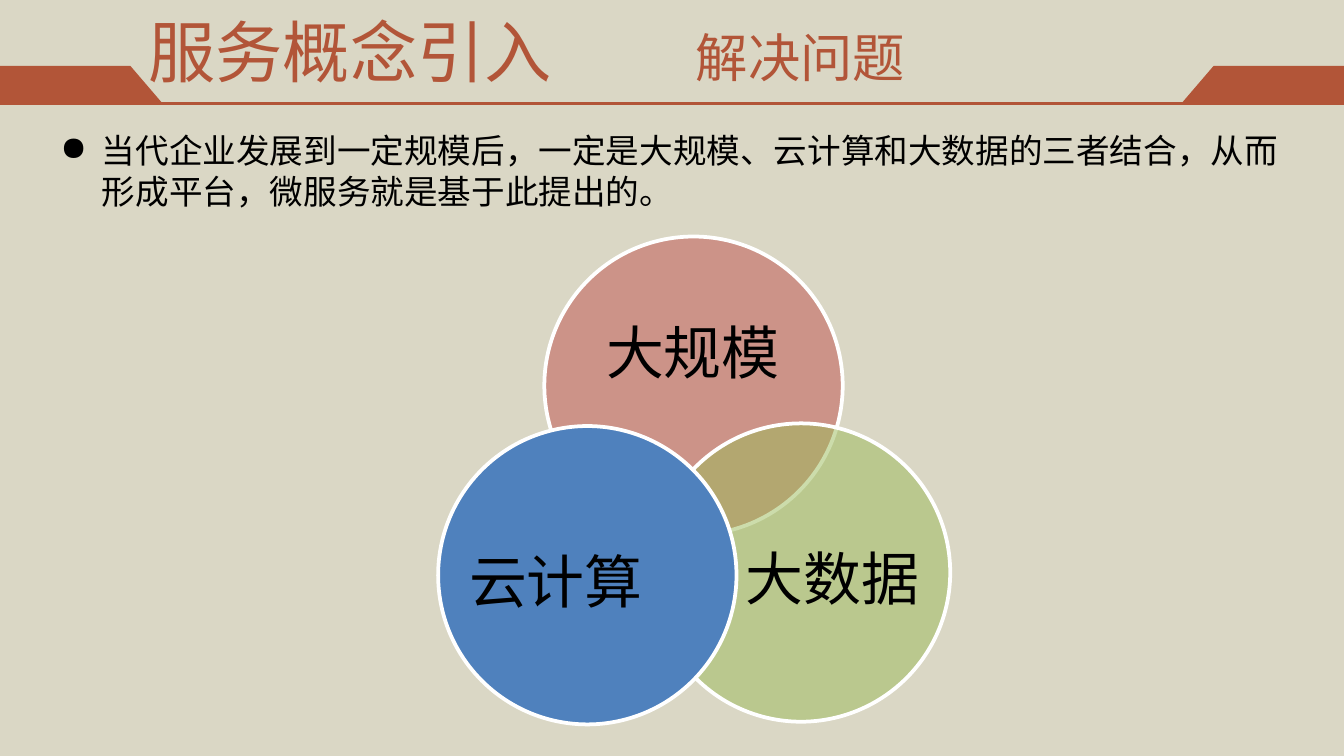
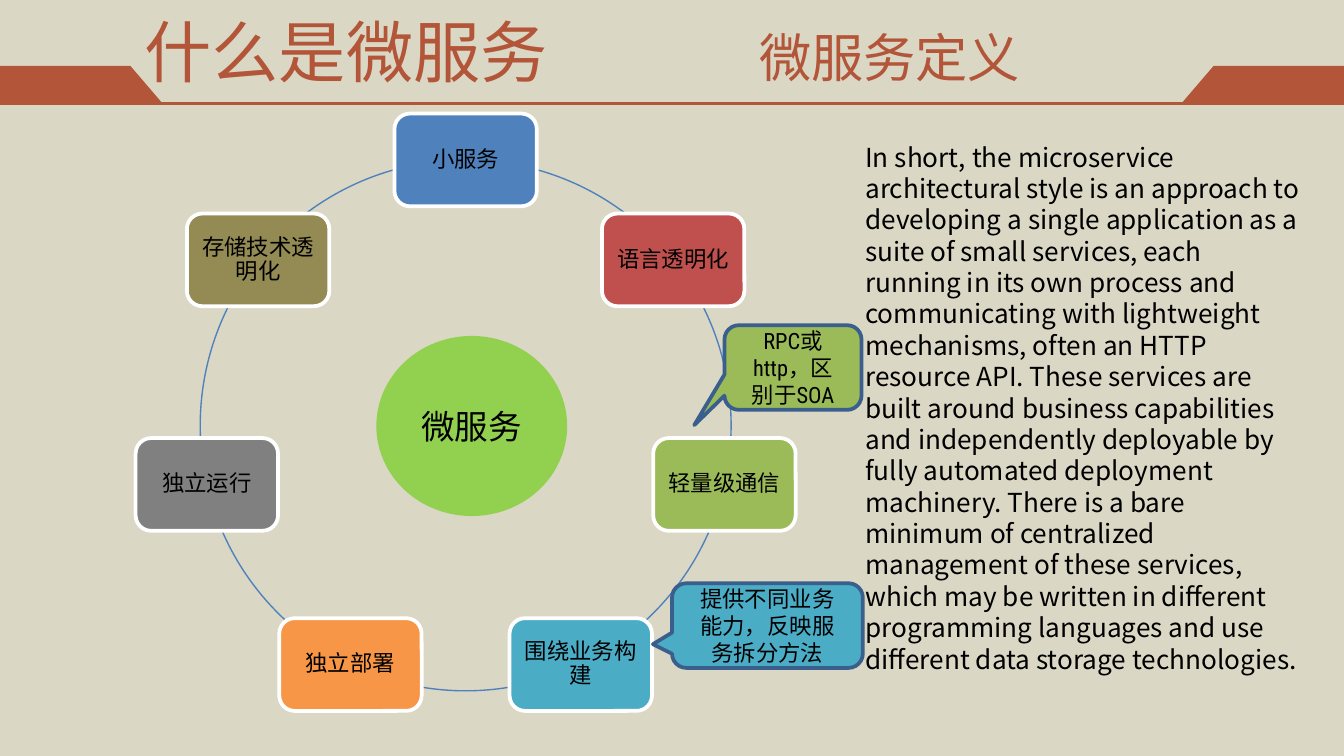
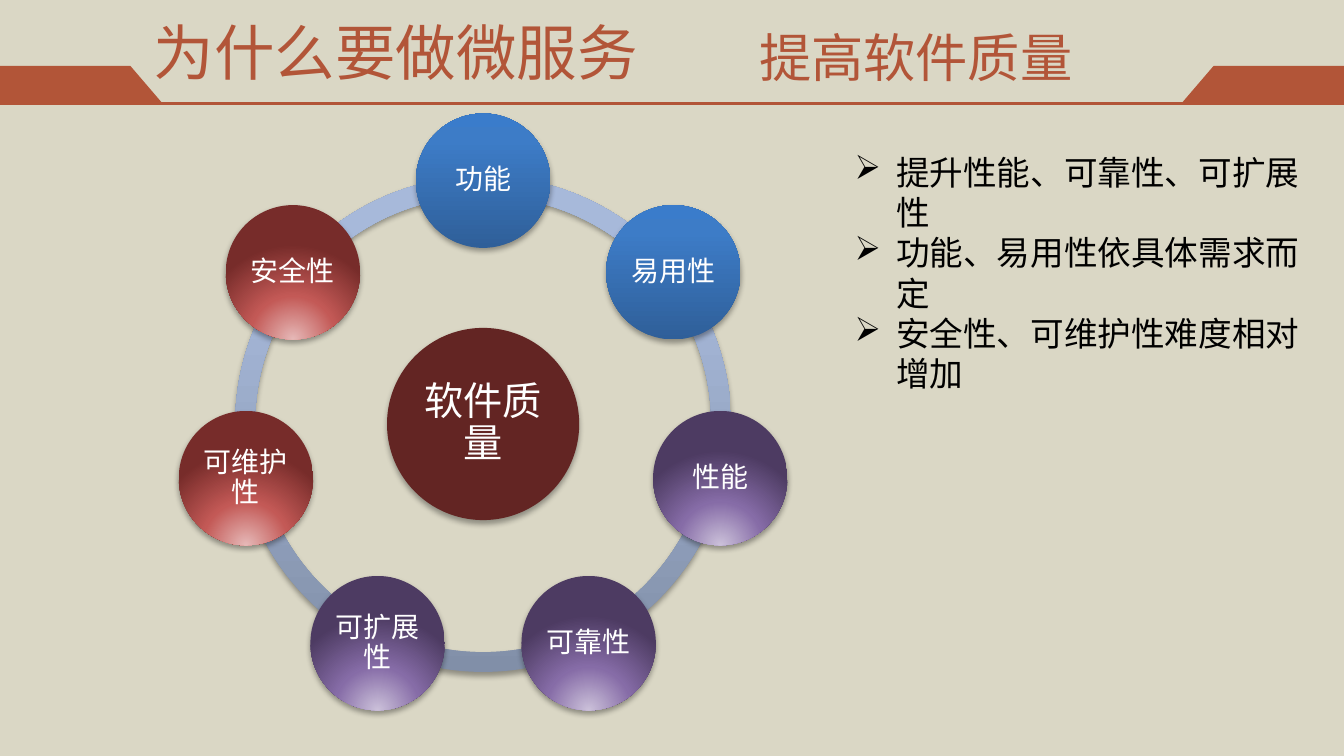
from pptx import Presentation
from pptx import util as u
from pptx.dml.color import RGBColor
from pptx.enum import lang, shapes, text
from pptx.oxml import parse_xml
from pptx.oxml.ns import nsdecls, qn

# Grid: 100 columns across, 56.25 rows down
COL = u.Inches(10) // 100
ROW = u.Inches(5.625) * 4 // 225

SHAPE = shapes.MSO_SHAPE
ALIGN = text.PP_ALIGN
FONT = "Roboto Condensed"
PLAIN_FONT = "Noto Sans CJK SC"
PAPER, RUST, BLACK, WHITE = "DAD7C5", "B25538", "000000", "FFFFFF"
BLUE, RED, GREEN, TEAL = "4F81BD", "C0504D", "9BBB59", "4BACC6"

# Gradients: (position %, colour) stops, then linear or radial
LINEAR = '<a:lin ang="16200000" scaled="0"/>'
RADIAL = ('<a:path path="circle"><a:fillToRect l="50000" t="130000" '
          'r="50000" b="-30000"/></a:path>')
RING = ([(0, "818FA8"), (80, "A7B9DA"), (100, "A7BADC")], LINEAR)
BLUE_BALL = ([(0, "2F5F99"), (80, "3D7CC7"), (100, "3A7CCB")], LINEAR)
PURPLE_BALL = ([(0, "CCC1DA"), (46, "866CA7"), (100, "4D3B62")], RADIAL)
RED_BALL = ([(0, "E6B9B8"), (46, "C35956"), (100, "772C2A")], RADIAL)

DEFINITION = (
    "In short, the microservice architectural style is an approach to "
    "developing a single application as a suite of small services, each "
    "running in its own process and communicating with lightweight "
    "mechanisms, often an HTTP resource API. These services are built around "
    "business capabilities and independently deployable by fully automated "
    "deployment machinery. There is a bare minimum of centralized management "
    "of these services, which may be written in different programming "
    "languages and use different data storage technologies.")


def rgb(color):
    return RGBColor.from_string(color)


def grid(x, y, w, h):
    return [round(n * unit) for n, unit in zip((x, y, w, h), (COL, ROW) * 2)]


def around(cx, cy, w, h):
    return cx - w / 2, cy - h / 2, w, h


def set_all(obj, values):
    for name, value in values.items():
        setattr(obj, name, value)


# Text
def write(tf, lines, size, color=BLACK, font=FONT, align=ALIGN.LEFT,
          spacing=None, bullet=None, **frame):
    if isinstance(lines, str):
        lines = [lines]
    set_all(tf, {"word_wrap": True, **frame})
    for i, line in enumerate(lines):
        p = tf.add_paragraph() if i else tf.paragraphs[0]
        set_all(p, {"alignment": align, "line_spacing": spacing})
        if bullet:
            pPr = p._p.get_or_add_pPr()
            pPr.set("marL", str(u.Inches(0.31)))
            pPr.set("indent", str(u.Inches(-0.31)))
            pPr.append(parse_xml(
                f'<a:buChar {nsdecls("a")} char="{bullet}"/>'))
        r = p.add_run()
        r.text = line
        set_all(r.font, {"name": font, "size": u.Pt(size),
                         "language_id": lang.MSO_LANGUAGE_ID.SIMPLIFIED_CHINESE})
        r.font.color.rgb = rgb(color)
        r.font._element.find(qn("a:latin")).addnext(parse_xml(
            f'<a:ea {nsdecls("a")} typeface="{font}"/>'))


def insets(inches):
    sides = ("left", "top", "right", "bottom")
    return {f"margin_{side}": u.Inches(inches) for side in sides}


def write_centred(tf, words, size, color=BLACK, **options):
    write(tf, words, size, color, align=ALIGN.CENTER,
          vertical_anchor=text.MSO_ANCHOR.MIDDLE, **options)


def add_text(slide, place, lines, size, **options):
    tf = slide.shapes.add_textbox(*grid(*place)).text_frame
    write(tf, lines, size, auto_size=text.MSO_AUTO_SIZE.SHAPE_TO_FIT_TEXT,
          **options)


# Shapes
def paint(sp, fill=None, line=None, width=2):
    sp.shadow.inherit = False
    if fill:
        sp.fill.solid()
        sp.fill.fore_color.rgb = rgb(fill)
    else:
        sp.fill.background()
    if line:
        sp.line.color.rgb = rgb(line)
        sp.line.width = u.Pt(width)
    else:
        sp.line.fill.background()


def add_shape(slide, kind, place, fill=None, line=None, width=2, adj=()):
    sp = slide.shapes.add_shape(kind, *grid(*place))
    for i, value in enumerate(adj):
        sp.adjustments[i] = value
    paint(sp, fill, line, width)
    return sp


def make_transparent(sp, percent):
    color = sp.element.spPr.find(".//" + qn("a:srgbClr"))
    color.append(parse_xml(
        f'<a:alpha {nsdecls("a")} val="{percent * 1000}"/>'))


def add_gradient(sp, gradient):
    stops, direction = gradient
    gs = "".join(f'<a:gs pos="{pos * 1000}"><a:srgbClr val="{color}"/></a:gs>'
                 for pos, color in stops)
    spPr = sp.element.spPr
    spPr.replace(spPr.find(qn("a:solidFill")), parse_xml(
        f'<a:gradFill {nsdecls("a")} rotWithShape="1">'
        f'<a:gsLst>{gs}</a:gsLst>{direction}</a:gradFill>'))


def add_shadow(sp):
    sp.element.spPr.find(qn("a:effectLst")).append(parse_xml(
        f'<a:outerShdw {nsdecls("a")} blurRad="{u.Pt(3.1)}" '
        f'dist="{u.Pt(1.8)}" dir="5400000" rotWithShape="0">'
        '<a:srgbClr val="000000"><a:alpha val="35000"/></a:srgbClr>'
        '</a:outerShdw>'))


# Rings: angles run clockwise from the top
def ring_angles(count):
    step = 360 / count
    return [((270 + i * step) % 360, (270 + (i + 1) * step) % 360)
            for i in range(count)]


def ring_point(cx, cy, radius, angle):
    turn = math.radians(angle)
    return cx + radius * math.cos(turn), cy + radius * math.sin(turn)


def add_ring(slide, kind, place, count, adj=(), **style):
    # Angle adjustments count 0.6 per degree
    return [add_shape(slide, kind, place, adj=(a * 0.6, b * 0.6, *adj), **style)
            for a, b in ring_angles(count)]


# Shared look
def add_header_band(slide, layout):
    line = slide.shapes.add_connector(
        shapes.MSO_CONNECTOR.STRAIGHT, *grid(0, 7.7, 100, 7.7))
    line.line.color.rgb = rgb(RUST)
    line.line.width = u.Pt(1.5)
    line.element.spPr.append(parse_xml(f'<a:effectLst {nsdecls("a")}/>'))
    parts = [line]
    for edge, inward in ((0, 1), (100, -1)):
        points = [(round((edge + inward * x) * COL), round(y * ROW))
                  for x, y in ((0, 4.9), (9.7, 4.9), (12.1, 7.7), (0, 7.7))]
        builder = slide.shapes.build_freeform(*points[0])
        builder.add_line_segments(points[1:], close=True)
        tab = builder.convert_to_shape()
        paint(tab, RUST)
        parts.append(tab)
    for part in parts:
        layout.shapes.element.append(part.element)


def add_slide(prs, title, title_place, size, subtitle, subtitle_place):
    slide = prs.slides.add_slide(prs.slide_layouts[5])
    names = ("left", "top", "width", "height")
    set_all(slide.shapes.title, dict(zip(names, grid(*title_place))))
    write_centred(slide.shapes.title.text_frame, title, size, RUST,
                  auto_size=text.MSO_AUTO_SIZE.NONE)
    add_text(slide, subtitle_place, subtitle, 28, color=RUST)
    return slide


# Slides
def concept_slide(prs):
    slide = add_slide(prs, "服务概念引入", (6.7, -0.2, 38.7, 8), 36,
                      "解决问题", (50.8, 1.4, 34.5, 5.7))
    circles = [
        ("大规模", RED, 50, (40.5, 17.6), (43.4, 21.5, 16.3, 10)),
        ("大数据", GREEN, 50, (48.5, 31.5), (55.3, 37.2, 13.3, 12.2)),
        ("云计算", BLUE, 100, (32.6, 31.7), (34.7, 37.4, 13.3, 12.2)),
    ]
    for words, color, opacity, corner, label in circles:
        sp = add_shape(slide, SHAPE.OVAL, (*corner, 22.2, 22.2), color, WHITE)
        if opacity < 100:
            make_transparent(sp, opacity)
        tf = slide.shapes.add_textbox(*grid(*label)).text_frame
        write_centred(tf, words, 31, spacing=0.9, **insets(0))
    add_text(slide, (3.5, 9.2, 92.9, 7.1),
             "当代企业发展到一定规模后，一定是大规模、云计算和大数据的三者结合，"
             "从而形成平台，微服务就是基于此提出的。", 18, bullet="●")
    return slide


def definition_slide(prs):
    slide = add_slide(prs, "什么是微服务", (6, -0.9, 39.5, 9.4), 36,
                      "微服务定义", (55.5, 1.4, 24.4, 5.7))
    traits = [("小服务", BLUE), ("语言透明化", RED), ("轻量级通信", GREEN),
              ("围绕业务构建", TEAL), ("独立部署", "F79646"),
              ("独立运行", "808080"), ("存储技术透明化", "948A54")]
    cx, cy, radius = 34.65, 31.65, 19.75
    add_ring(slide, SHAPE.ARC, around(cx, cy, 2 * radius, 2 * radius),
             len(traits), line=BLUE, width=0.75)
    for (words, color), (angle, _) in zip(traits, ring_angles(len(traits))):
        place = around(*ring_point(cx, cy, radius, angle), 10.6, 6.9)
        sp = add_shape(slide, SHAPE.ROUNDED_RECTANGLE, place, color, WHITE)
        write_centred(sp.text_frame, words, 12, spacing=0.9, **insets(0.05))
    hub = add_shape(slide, SHAPE.FLOWCHART_CONNECTOR, (28, 25, 14.2, 13.4),
                    "92D050")
    write_centred(hub.text_frame, "微服务", 18)

    add_text(slide, (63.4, 10, 34.6, 43.4), DEFINITION, 14, font=PLAIN_FONT,
             spacing=u.Pt(16.8))
    callouts = [
        ("RPC或http，区别于SOA", GREEN, (53.9, 24.2, 10.2, 6.3), (-0.72, 0.68)),
        ("提供不同业务能力，反映服务拆分方法", TEAL, (50, 43.4, 14.2, 6.3),
         (-0.6, 0.22)),
    ]
    for words, color, place, tip in callouts:
        sp = add_shape(slide, SHAPE.ROUNDED_RECTANGULAR_CALLOUT, place, color,
                       "3A5F8C", adj=(*tip, 0.17))
        write_centred(sp.text_frame, words, 12)


def quality_slide(prs):
    slide = add_slide(prs, "为什么要做微服务", (9.7, -0.9, 39.5, 9.4), 32.4,
                      "提高软件质量", (55.5, 1.4, 27.6, 5.7))
    qualities = [("功能", BLUE_BALL), ("易用性", BLUE_BALL),
                 ("性能", PURPLE_BALL), ("可靠性", PURPLE_BALL),
                 ("可扩展性", PURPLE_BALL), ("可维护性", RED_BALL),
                 ("安全性", RED_BALL)]
    cx, cy, radius = 35.95, 31.55, 18.1
    for arc in add_ring(slide, SHAPE.BLOCK_ARC, around(cx, cy, 36.9, 36.9),
                        len(qualities), adj=(0.04,), fill=BLUE):
        add_gradient(arc, RING)
        add_shadow(arc)
    hub = add_shape(slide, SHAPE.OVAL, around(cx, cy, 14.3, 14.3), "632523")
    add_shadow(hub)
    write_centred(hub.text_frame, "软件质量", 21, WHITE, spacing=0.9,
                  **insets(0.03))
    for (words, ball), (angle, _) in zip(qualities,
                                         ring_angles(len(qualities))):
        place = around(*ring_point(cx, cy, radius, angle), 10, 10)
        sp = add_shape(slide, SHAPE.OVAL, place, BLUE)
        add_gradient(sp, ball)
        add_shadow(sp)
        write_centred(sp.text_frame, words, 15, WHITE, spacing=0.9,
                      **insets(0.02))
    add_text(slide, (62.6, 10.8, 36.2, 19.2),
             ["提升性能、可靠性、可扩展性", "功能、易用性依具体需求而定",
              "安全性、可维护性难度相对增加"], 18, bullet="➢")


def main():
    prs = Presentation()
    set_all(prs, {"slide_width": 100 * COL, "slide_height": u.Inches(5.625)})
    fill = prs.slide_master.background.fill
    fill.solid()
    fill.fore_color.rgb = rgb(PAPER)
    first = concept_slide(prs)
    add_header_band(first, prs.slide_layouts[5])
    definition_slide(prs)
    quality_slide(prs)
    prs.save("out.pptx")


import math

if __name__ == "__main__":
    main()
